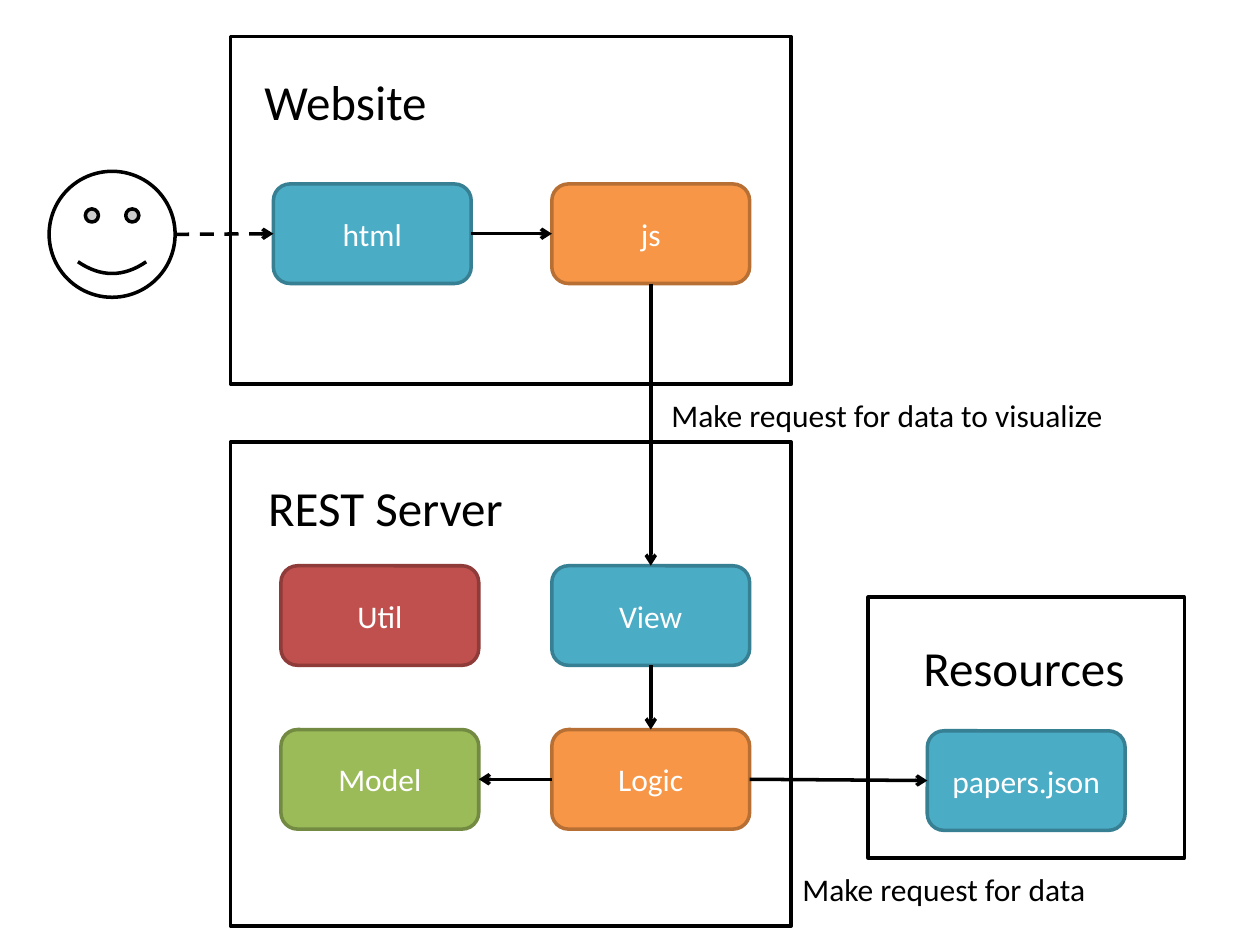
from pptx import Presentation
from pptx.dml.color import RGBColor
from pptx.enum.dml import MSO_LINE
from pptx.enum.shapes import MSO_CONNECTOR, MSO_SHAPE
from pptx.enum.text import MSO_ANCHOR, MSO_AUTO_SIZE, PP_ALIGN
from pptx.oxml.ns import qn
from pptx.util import Inches, Pt
from lxml import etree

COLORS = {
    "black": "000000", "white": "FFFFFF",
    "blue": "4BACC6", "blue edge": "377F92",
    "orange": "F79646", "orange edge": "B76F34",
    "green": "9BBB59", "green edge": "738A42",
    "red": "C0504D", "red edge": "8E3B39",
}
TOP, LEFT, BOTTOM, RIGHT = range(4)
NODE = (1.57, 0.79)
USER = (0.39, 1.36, 1, 1)
FRAMES = [
    (1.83, 3.51, 4.45, 3.84),
    (1.83, 0.29, 4.45, 2.76),
    (6.89, 4.74, 2.51, 2.07),
]
NODES = [
    ("html", 2.17, 1.46, "blue"),
    ("js", 4.38, 1.46, "orange"),
    ("Util", 2.23, 4.49, "red"),
    ("View", 4.38, 4.49, "blue"),
    ("Model", 2.23, 5.79, "green"),
    ("Logic", 4.38, 5.79, "orange"),
    ("papers.json", 7.36, 5.8, "blue"),
]
LABELS = [
    ("Website", 2, 0.52, 1.52, 0.57, 28),
    ("REST Server", 2.03, 3.74, 2.09, 0.57, 28),
    ("Resources", 7.23, 5.01, 1.83, 0.57, 28),
    ("Make request for data to visualize", 5.23, 3.09, 3.69, 0.4, 18),
    ("Make request for data", 6.27, 6.86, 2.5, 0.4, 18),
]
LINKS = [
    ("html", RIGHT, "js", LEFT),
    ("js", BOTTOM, "View", TOP),
    ("View", BOTTOM, "Logic", TOP),
    ("Logic", LEFT, "Model", RIGHT),
    ("Logic", RIGHT, "papers.json", LEFT),
]


def color(name):
    return RGBColor.from_string(COLORS[name])


def write(frame, text, size=18, ink="black", align=PP_ALIGN.LEFT):
    para = frame.paragraphs[0]
    para.alignment = align
    run = para.add_run()
    run.text = text
    run.font.name = "Calibri"
    run.font.size = Pt(size)
    run.font.color.rgb = color(ink)


def draw(shapes, kind, box, fill="white", edge="black"):
    shape = shapes.add_shape(kind, *map(Inches, box))
    shape.shadow.inherit = False
    shape.fill.solid()
    shape.fill.fore_color.rgb = color(fill)
    shape.line.color.rgb = color(edge)
    shape.line.width = Pt(2)
    return shape


def arrow(shapes, end, side, start=(0, 0)):
    link = shapes.add_connector(MSO_CONNECTOR.STRAIGHT, *map(Inches, start * 2))
    link.end_connect(end, side)
    link.line.color.rgb = color("black")
    link.line.width = Pt(2)
    etree.SubElement(link.line._get_or_add_ln(), qn("a:tailEnd"), type="arrow")
    etree.SubElement(link._element.spPr, qn("a:effectLst"))
    return link


def main():
    deck = Presentation()
    deck.slide_width, deck.slide_height = Inches(10), Inches(7.5)
    shapes = deck.slides.add_slide(deck.slide_layouts[6]).shapes

    draw(shapes, MSO_SHAPE.SMILEY_FACE, USER)
    for box in FRAMES:
        draw(shapes, MSO_SHAPE.RECTANGLE, box)

    nodes = {}
    for name, left, top, fill in NODES:
        node = draw(shapes, MSO_SHAPE.ROUNDED_RECTANGLE, (left, top, *NODE),
                    fill=fill, edge=f"{fill} edge")
        node.text_frame.vertical_anchor = MSO_ANCHOR.MIDDLE
        write(node.text_frame, name, ink="white", align=PP_ALIGN.CENTER)
        nodes[name] = node

    for start, out, end, into in LINKS:
        arrow(shapes, nodes[end], into).begin_connect(nodes[start], out)
    left, top, width, height = USER
    visit = arrow(shapes, nodes["html"], LEFT, start=(left + width, top + height / 2))
    visit.line.dash_style = MSO_LINE.DASH

    for text, *box, size in LABELS:
        frame = shapes.add_textbox(*map(Inches, box)).text_frame
        frame.word_wrap = False
        frame.auto_size = MSO_AUTO_SIZE.SHAPE_TO_FIT_TEXT
        write(frame, text, size=size)

    deck.save("out.pptx")


if __name__ == "__main__":
    main()
